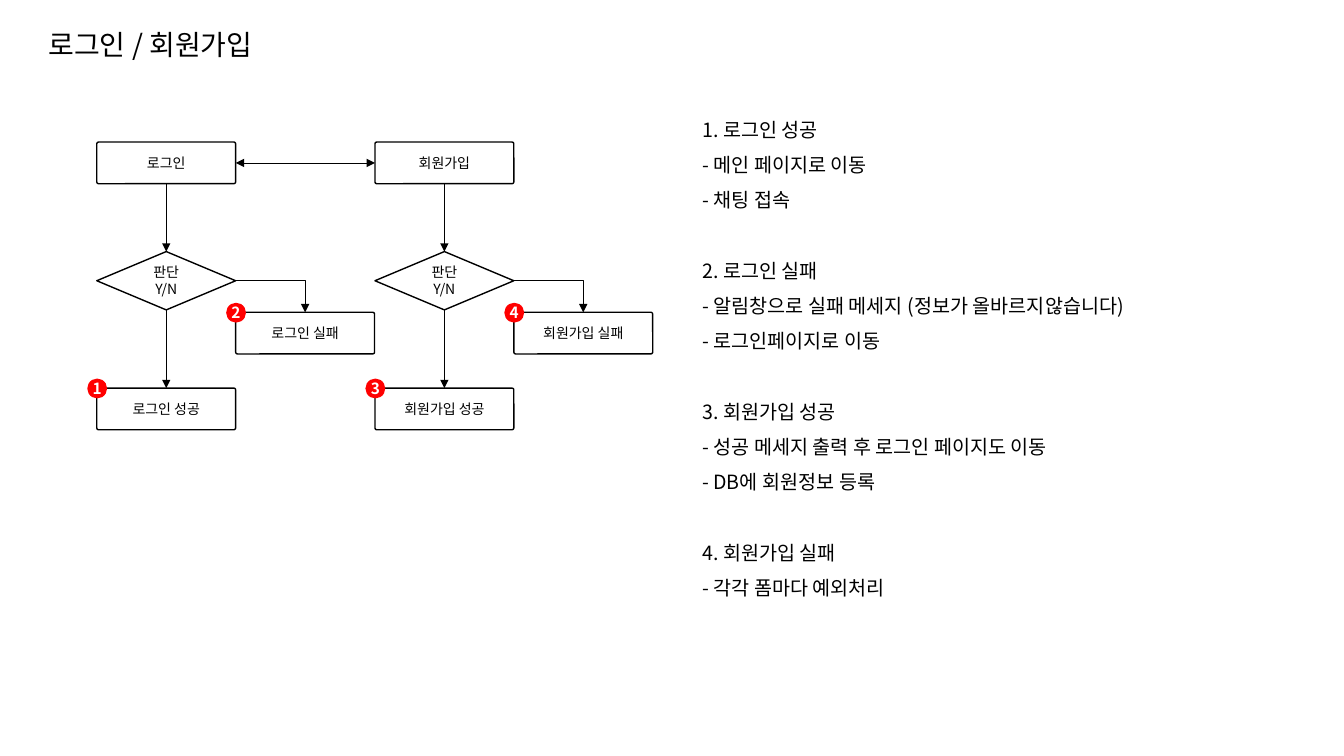
from dataclasses import dataclass

from lxml import etree
from pptx import Presentation
from pptx.dml.color import RGBColor
from pptx.enum.shapes import MSO_CONNECTOR, MSO_SHAPE
from pptx.enum.text import MSO_ANCHOR, PP_ALIGN
from pptx.oxml.ns import qn
from pptx.util import Cm, Pt

BOX = MSO_SHAPE.ROUNDED_RECTANGLE
TEST = MSO_SHAPE.FLOWCHART_DECISION
DOT = MSO_SHAPE.OVAL
LINE = MSO_CONNECTOR.STRAIGHT
BENT = MSO_CONNECTOR.ELBOW
MID = MSO_ANCHOR.MIDDLE
TOP = MSO_ANCHOR.TOP
MIDDLE = PP_ALIGN.CENTER
LEFT = PP_ALIGN.LEFT

# Connection sites shared by boxes and decisions
UP, WEST, DOWN, EAST = range(4)


@dataclass(frozen=True)
class Theme:
    font: str = "Noto Sans CJK KR"
    ink: RGBColor = RGBColor(0, 0, 0)
    red: RGBColor = RGBColor(255, 0, 0)
    white: RGBColor = RGBColor(255, 255, 255)
    title: Pt = Pt(20)
    note: Pt = Pt(14)
    node: Pt = Pt(10)
    badge: Pt = Pt(11)
    pitch: Pt = Pt(25.2)
    edge: Pt = Pt(1)
    wire: Pt = Pt(0.5)


THEME = Theme()

# Flow grid, in centimetres
START, STEP = 2.44, 7.01
WIDE, HIGH, TALL = 3.5, 1.05, 1.47
ROW_FORM, ROW_TEST, ROW_FAIL, ROW_DONE = 3.58, 6.34, 7.87, 9.78
SPOT, SHIFT = 0.5, 0.24

FLOWS = [("로그인", 1, 2), ("회원가입", 3, 4)]
NOTES = [
    ["1. 로그인 성공", "- 메인 페이지로 이동", "- 채팅 접속"],
    ["2. 로그인 실패", "- 알림창으로 실패 메세지 (정보가 올바르지않습니다)",
     "- 로그인페이지로 이동"],
    ["3. 회원가입 성공", "- 성공 메세지 출력 후 로그인 페이지도 이동",
     "- DB에 회원정보 등록"],
    ["4. 회원가입 실패", "- 각각 폼마다 예외처리"],
]


def add_run(para, text, size, color=THEME.ink, bold=False):
    run = para.add_run()
    run.text = text
    font = run.font
    font.size, font.bold, font.name = size, bold, THEME.font
    font.color.rgb = color
    east = etree.SubElement(run._r.get_or_add_rPr(), qn("a:ea"))
    east.set("typeface", THEME.font)


def add_paras(frame, lines, size, align, **style):
    for i, text in enumerate(lines):
        para = frame.paragraphs[0] if i == 0 else frame.add_paragraph()
        para.alignment = align
        add_run(para, text, size, **style)


def add_text(slide, place, lines, size, anchor):
    frame = slide.shapes.add_textbox(*map(Cm, place)).text_frame
    frame.word_wrap = True
    frame.vertical_anchor = anchor
    add_paras(frame, lines, size, LEFT)
    return frame


def add_form(slide, kind, place, lines, size, **style):
    form = slide.shapes.add_shape(kind, *map(Cm, place))
    form.shadow.inherit = False
    frame = form.text_frame
    frame.margin_left = frame.margin_right = 0
    frame.margin_top = frame.margin_bottom = 0
    frame.word_wrap = False
    frame.vertical_anchor = MID
    add_paras(frame, lines, size, MIDDLE, **style)
    return form


def add_node(slide, kind, x, y, high, *lines):
    node = add_form(slide, kind, (x, y, WIDE, high), lines, THEME.node)
    node.fill.background()
    node.line.color.rgb = THEME.ink
    node.line.width = THEME.edge
    if kind == BOX:
        node.adjustments[0] = 0.044
    return node


def add_badge(slide, x, y, number):
    badge = add_form(slide, DOT, (x - SHIFT, y - SHIFT, SPOT, SPOT),
                     [str(number)], THEME.badge, color=THEME.white, bold=True)
    badge.fill.solid()
    badge.fill.fore_color.rgb = THEME.red
    badge.line.fill.background()


def add_arrow(slide, kind, first, out, last, into, both=False):
    wire = slide.shapes.add_connector(kind, 0, 0, 0, 0)
    wire.begin_connect(first, out)
    wire.end_connect(last, into)
    wire.line.color.rgb = THEME.ink
    wire.line.width = THEME.wire
    if kind == BENT:
        wire._element.spPr.find(qn("a:prstGeom")).set("prst", "bentConnector2")
    line = wire.line._get_or_add_ln()
    for end in ("a:headEnd", "a:tailEnd") if both else ("a:tailEnd",):
        etree.SubElement(line, qn(end)).set("type", "triangle")
    etree.SubElement(wire._element.spPr, qn("a:effectLst"))


def add_flow(slide, x, name, done_no, fail_no):
    side = x + WIDE
    form = add_node(slide, BOX, x, ROW_FORM, HIGH, name)
    test = add_node(slide, TEST, x, ROW_TEST, TALL, "판단", "Y/N")
    done = add_node(slide, BOX, x, ROW_DONE, HIGH, f"{name} 성공")
    fail = add_node(slide, BOX, side, ROW_FAIL, HIGH, f"{name} 실패")
    add_arrow(slide, LINE, form, DOWN, test, UP)
    add_arrow(slide, LINE, test, DOWN, done, UP)
    add_arrow(slide, BENT, test, EAST, fail, UP)
    add_badge(slide, x, ROW_DONE, done_no)
    add_badge(slide, side, ROW_FAIL, fail_no)
    return form


def add_notes(slide):
    lines = [text for group in NOTES for text in group]
    heads = [group[0] for group in NOTES[1:]]
    frame = add_text(slide, (17.45, 2.54, 14.3, 12.83), lines, THEME.note, TOP)
    for para in frame.paragraphs:
        para.line_spacing = THEME.pitch
        if para.text in heads:
            para.space_before = THEME.pitch


def main():
    deck = Presentation()
    deck.slide_width, deck.slide_height = Cm(33.87), Cm(19.05)
    slide = deck.slides.add_slide(deck.slide_layouts[6])

    # Title
    add_text(slide, (0.97, 0.56, 8.64, 1.12), ["로그인 / 회원가입"],
             THEME.title, MID)

    # Two flows, joined at the top
    login, join = [add_flow(slide, START + i * STEP, *flow)
                   for i, flow in enumerate(FLOWS)]
    add_arrow(slide, LINE, login, EAST, join, WEST, both=True)

    # Notes on each numbered result
    add_notes(slide)

    deck.save("out.pptx")


if __name__ == "__main__":
    main()
